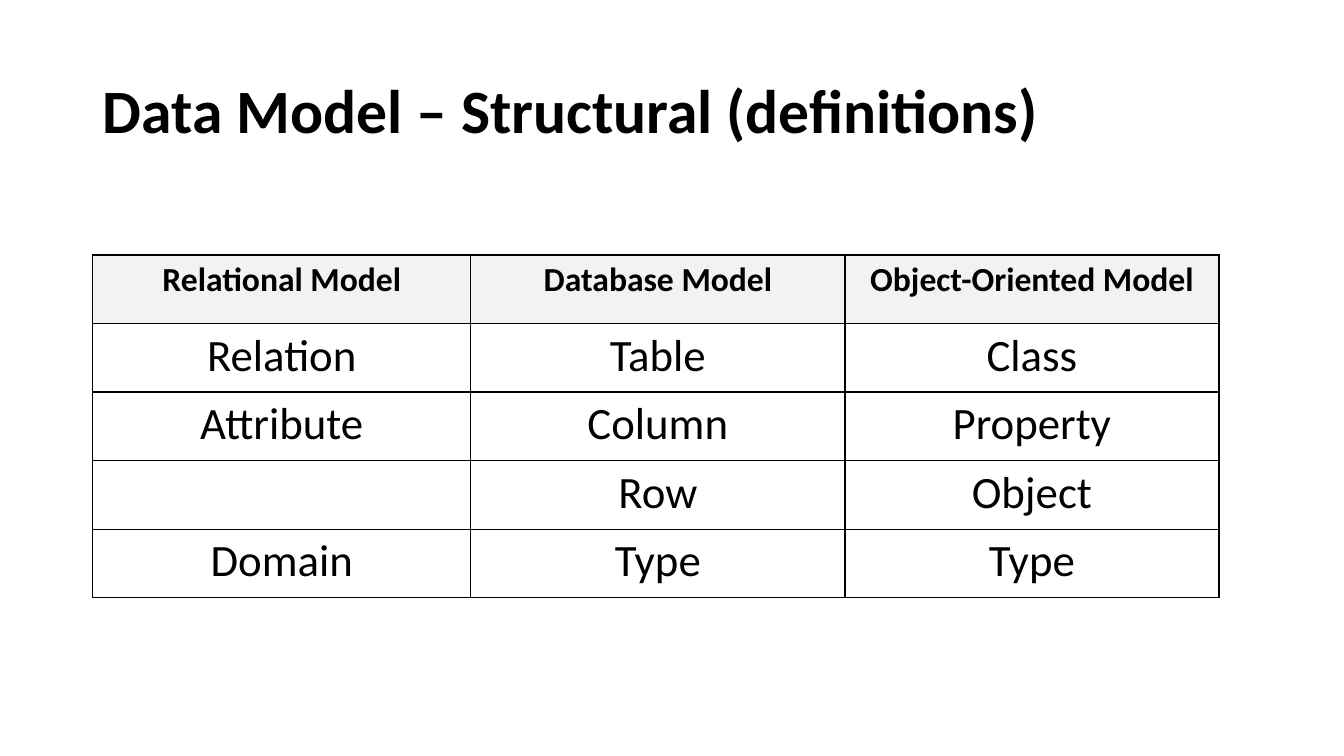
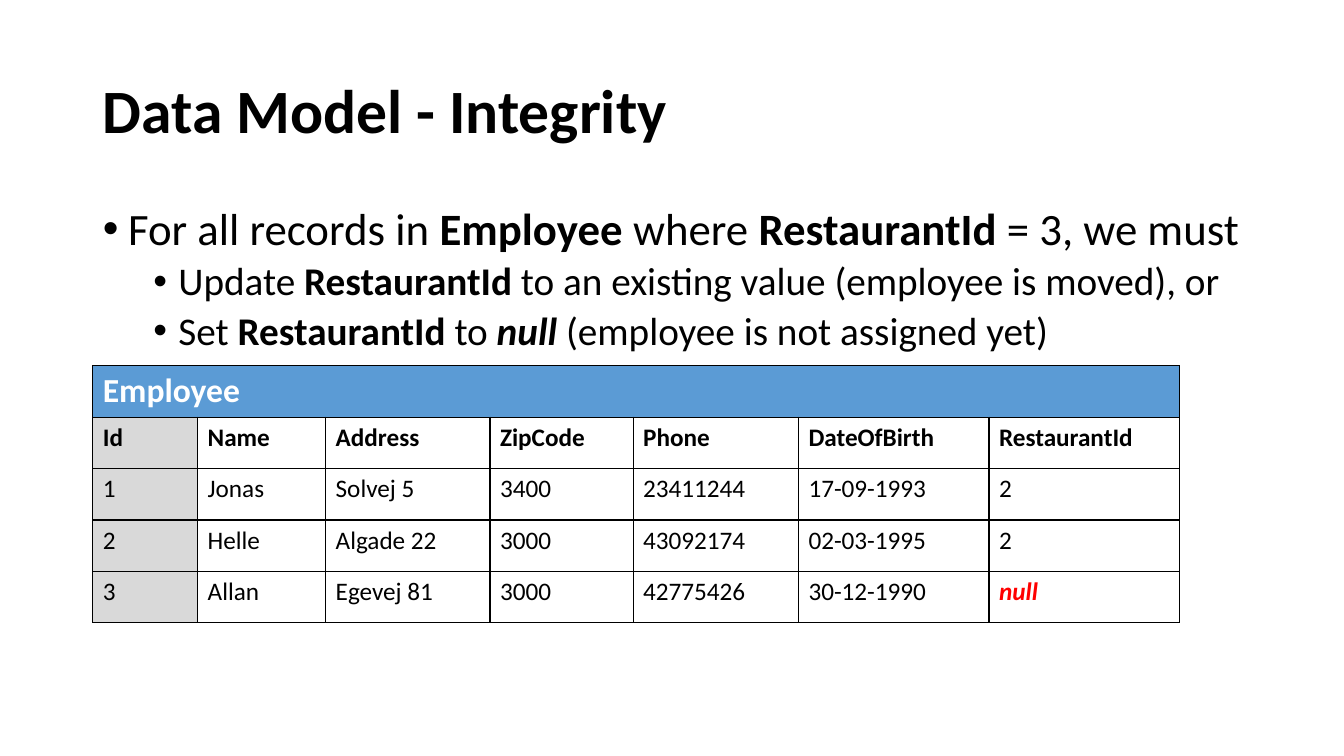
from lxml.etree import SubElement
from pptx import Presentation
from pptx.dml.color import RGBColor
from pptx.enum.text import MSO_ANCHOR, MSO_AUTO_SIZE, PP_ALIGN
from pptx.oxml.ns import qn
from pptx.util import Inches, Pt

FONT = "Calibri"
BLACK, WHITE, RED = "000000", "FFFFFF", "FF0000"
BLUE, LIGHT_GREY, GREY = "5B9BD5", "F2F2F2", "D9D9D9"
LEFT = 0.92
TITLE_BOX = (LEFT, 0.4, 11.5, 1.45)
TITLE_AND_CONTENT, TITLE_ONLY = 1, 5


def rgb(hex_color):
    return RGBColor.from_string(hex_color)


def style(font, size, color=BLACK, bold=False, italic=False):
    font.name, font.size = FONT, Pt(size)
    font.bold, font.italic = bold, italic
    font.color.rgb = rgb(color)


def place(sp, box):
    sp.left, sp.top, sp.width, sp.height = [Inches(v) for v in box]
    sp.text_frame.word_wrap = True
    sp.text_frame.auto_size = MSO_AUTO_SIZE.NONE


def add_titled_slide(prs, layout, title):
    s = prs.slides.add_slide(prs.slide_layouts[layout])
    sp = s.shapes.title
    place(sp, TITLE_BOX)
    tf = sp.text_frame
    tf.text = title
    tf.vertical_anchor = MSO_ANCHOR.MIDDLE
    p = tf.paragraphs[0]
    p.alignment, p.line_spacing = PP_ALIGN.LEFT, 0.9
    style(p.runs[0].font, 44, bold=True)
    return s


def add_bullets(sp, box, items):
    """Each item is a level and its text; *stars* mark bold, *_..._* bold italic."""
    place(sp, box)
    tf = sp.text_frame
    for i, (level, text) in enumerate(items):
        p = tf.paragraphs[0] if i == 0 else tf.add_paragraph()
        pPr = p._p.get_or_add_pPr()
        pPr.set("marL", str(Inches(0.25 + 0.5 * level)))
        pPr.set("indent", str(Inches(-0.25)))
        SubElement(pPr, qn("a:buFont"), typeface="Arial")
        SubElement(pPr, qn("a:buChar"), char="•")
        p.level, p.line_spacing = level, 0.9
        p.space_before = Pt(5 if i else 0)
        for n, part in enumerate(text.split("*")):
            r = p.add_run()
            r.text = part.strip("_")
            style(r.font, 32 - 4 * level, bold=n % 2 == 1, italic=part.startswith("_"))


def add_borders(cell):
    tcPr = cell._tc.get_or_add_tcPr()
    for side in ("lnL", "lnR", "lnT", "lnB"):
        ln = SubElement(tcPr, qn(f"a:{side}"), w=str(Pt(1)))
        fill = SubElement(ln, qn("a:solidFill"))
        SubElement(fill, qn("a:srgbClr"), val=BLACK)


def add_grid(s, left, top, widths, row_height, rows, look):
    """look(row, column, text) gives a cell's fill, alignment and font style."""
    size = (sum(widths), row_height * len(rows))
    frame = s.shapes.add_table(len(rows), len(widths),
                               *[Inches(v) for v in (left, top, *size)])
    table = frame.table
    table.first_row = table.horz_banding = False
    for column, width in zip(table.columns, widths):
        column.width = Inches(width)
    for y, row in enumerate(rows):
        table.rows[y].height = Inches(row_height)
        for x in range(len(widths)):
            cell = table.cell(y, x)
            text = row[x] if x < len(row) else ""
            fill, align, font = look(y, x, text)
            add_borders(cell)
            if fill:
                cell.fill.solid()
                cell.fill.fore_color.rgb = rgb(fill)
            else:
                cell.fill.background()
            cell.text = text
            p = cell.text_frame.paragraphs[0]
            p.alignment = align
            for r in p.runs:
                style(r.font, **font)
    return table


def definition_look(y, x, text):
    if y == 0:
        return LIGHT_GREY, PP_ALIGN.CENTER, dict(size=24, bold=True)
    return None, PP_ALIGN.CENTER, dict(size=32)


def record_look(y, x, text):
    if y == 0:
        return BLUE, PP_ALIGN.LEFT, dict(size=24, color=WHITE, bold=True)
    font = dict(size=18, bold=y == 1)
    if text == "null":
        font = dict(size=18, color=RED, bold=True, italic=True)
    return GREY if x == 0 else None, PP_ALIGN.LEFT, font


def build_definitions(prs):
    s = add_titled_slide(prs, TITLE_ONLY, "Data Model – Structural (definitions)")
    add_grid(s, LEFT, 2.53, [3.75, 3.71, 3.71], 0.68, [
        ["Relational Model", "Database Model", "Object-Oriented Model"],
        ["Relation", "Table", "Class"],
        ["Attribute", "Column", "Property"],
        ["", "Row", "Object"],
        ["Domain", "Type", "Type"],
    ], definition_look)


def build_integrity(prs):
    s = add_titled_slide(prs, TITLE_AND_CONTENT, "Data Model - Integrity")
    add_bullets(s.placeholders[1], (LEFT, 2, 12.23, 1.74), [
        (0, "For all records in *Employee* where *RestaurantId* = 3, we must"),
        (1, "Update *RestaurantId *to an existing value (employee is moved), or"),
        (1, "Set *RestaurantId *to *_null_* (employee is not assigned yet)"),
    ])
    widths = [1.04, 1.27, 1.63, 1.42, 1.64, 1.89, 1.89]
    table = add_grid(s, LEFT, 3.63, widths, 0.51, [
        ["Employee"],
        ["Id", "Name", "Address", "ZipCode", "Phone", "DateOfBirth", "RestaurantId"],
        ["1", "Jonas", "Solvej 5", "3400", "23411244", "17-09-1993", "2"],
        ["2", "Helle", "Algade 22", "3000", "43092174", "02-03-1995", "2"],
        ["3", "Allan", "Egevej 81", "3000", "42775426", "30-12-1990", "null"],
    ], record_look)
    table.cell(0, 0).merge(table.cell(0, len(widths) - 1))


def main():
    prs = Presentation()
    prs.slide_width, prs.slide_height = Inches(13.33), Inches(7.5)
    build_definitions(prs)
    build_integrity(prs)
    prs.save("out.pptx")


if __name__ == "__main__":
    main()
